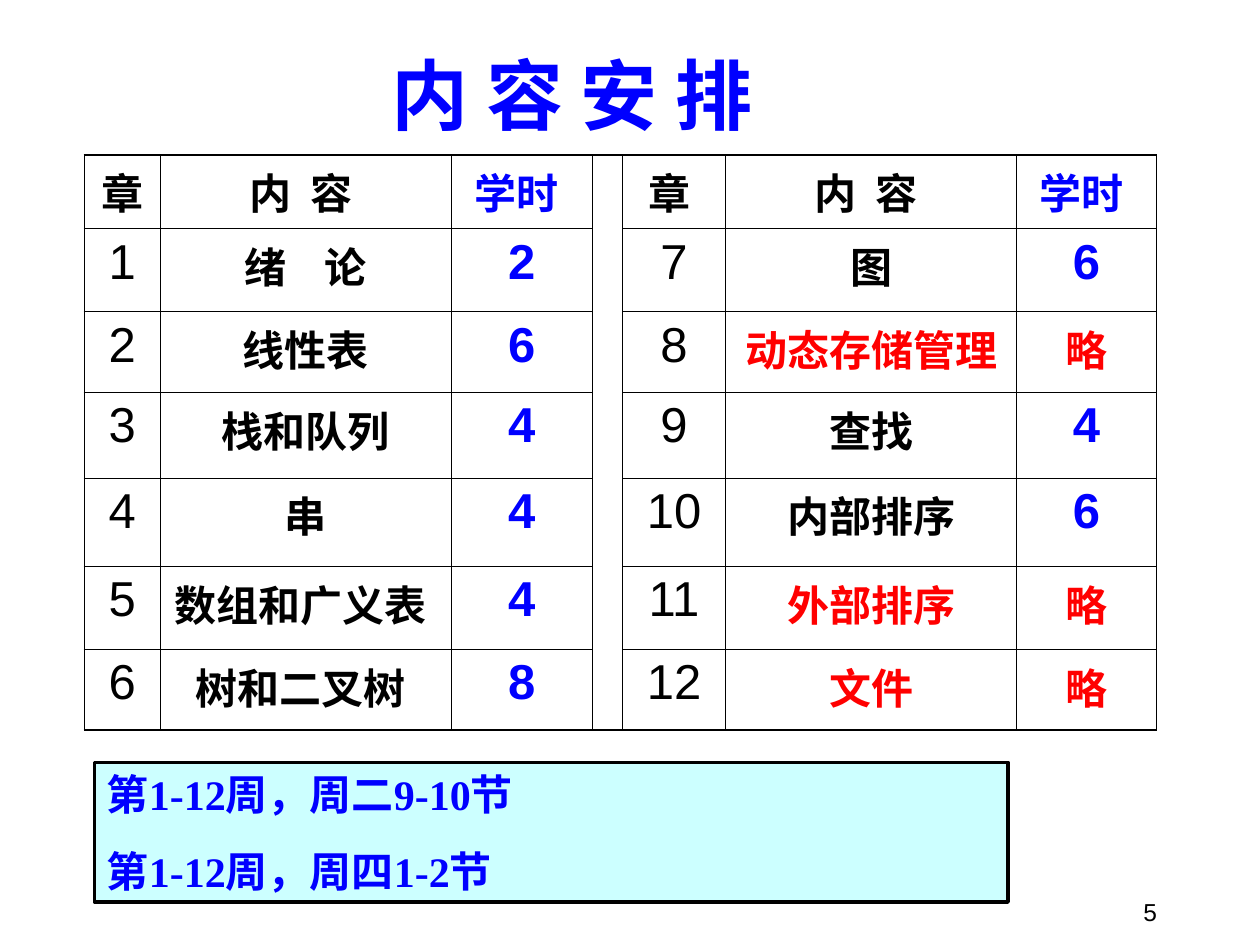
from lxml.etree import SubElement
from pptx import Presentation
from pptx.dml.color import RGBColor
from pptx.enum.shapes import MSO_SHAPE
from pptx.enum.text import MSO_ANCHOR, MSO_AUTO_SIZE, PP_ALIGN
from pptx.oxml.ns import qn
from pptx.util import Inches, Pt

BLACK = RGBColor(0, 0, 0)
BLUE = RGBColor(0, 0, 255)
RED = RGBColor(255, 0, 0)
CYAN = RGBColor(204, 255, 255)


def write(para, text, size, color, bold=True, font="Arial", align=PP_ALIGN.CENTER):
    para.alignment = align
    run = para.add_run()
    run.text = text
    run.font.size = Pt(size)
    run.font.name = font
    run.font.bold = bold
    run.font.color.rgb = color


def border(cell, side, width):
    line = SubElement(cell._tc.get_or_add_tcPr(), qn("a:ln" + side), w=str(Pt(width)))
    fill = SubElement(line, qn("a:solidFill"))
    SubElement(fill, qn("a:srgbClr"), val=str(BLACK))


deck = Presentation()
deck.slide_width, deck.slide_height = Inches(10), Inches(7.5)
slide = deck.slides.add_slide(deck.slide_layouts[5])

# Title
title = slide.shapes.title
title.left, title.top = Inches(2.58), Inches(0.33)
title.width, title.height = Inches(3.92), Inches(0.83)
frame = title.text_frame
frame.auto_size = MSO_AUTO_SIZE.NONE
frame.vertical_anchor = MSO_ANCHOR.MIDDLE
write(frame.paragraphs[0], "内 容 安 排", 44, BLUE, font="Montserrat")

# Chapter plan: two halves beside a merged gap column
HEAD = ["章", "内  容 ", "学时 ", "", "章 ", "内  容 ", "学时 "]
ROWS = [
    ["1", "绪    论", "2", "", "7", "图", "6"],
    ["2", "线性表", "6", "", "8", "动态存储管理", "略"],
    ["3", "栈和队列", "4", "", "9", "查找", "4"],
    ["4", "串", "4", "", "10", "内部排序", "6"],
    ["5", "数组和广义表 ", "4", "", "11", "外部排序", "略"],
    ["6", "树和二叉树 ", "8", "", "12", "文件", "略"],
]
WIDTHS = [0.6, 2.31, 1.12, 0.24, 0.82, 2.31, 1.11]
HEIGHTS = [0.5, 0.66, 0.64, 0.68, 0.7, 0.66, 0.64]
GAP = 3
THICK, THIN = 1.08, 0.45
last = len(ROWS)

table = slide.shapes.add_table(
    len(HEIGHTS), len(WIDTHS), Inches(0.67), Inches(1.23), Inches(8.5), Inches(4.46)
).table
table.first_row = table.horz_banding = False
for col, width in zip(table.columns, WIDTHS):
    col.width = Inches(width)
for row, height in zip(table.rows, HEIGHTS):
    row.height = Inches(height)
table.cell(0, GAP).merge(table.cell(last, GAP))

for r, texts in enumerate([HEAD] + ROWS):
    for c, text in enumerate(texts):
        cell = table.cell(r, c)
        if cell.is_spanned:
            continue
        edges = {"L": c == 0, "R": c == 6, "T": r == 0, "B": r == last or c == GAP}
        for side, outer in edges.items():
            border(cell, side, THICK if outer else THIN)
        cell.fill.background()
        if not text:
            continue
        place = c % 4  # chapter, topic, hours
        color = BLUE if place == 2 else BLACK
        if place and texts[c - place + 2] == "略":
            color = RED
        digit = text.isdigit()
        bold = place > 0 or not digit
        write(cell.text_frame.paragraphs[0], text, 28 if digit else 24, color, bold)

# Class times
box = slide.shapes.add_shape(
    MSO_SHAPE.RECTANGLE, Inches(0.75), Inches(6.05), Inches(7.25), Inches(1.11)
)
box.shadow.inherit = False
box.fill.solid()
box.fill.fore_color.rgb = CYAN
box.line.color.rgb = BLACK
box.line.width = Pt(2)
frame = box.text_frame
frame.word_wrap = True
frame.vertical_anchor = MSO_ANCHOR.TOP
for i, text in enumerate(["第1-12周，周二9-10节", "第1-12周，周四1-2节"]):
    para = frame.add_paragraph() if i else frame.paragraphs[0]
    if i:
        para.space_before = Pt(15)
    write(para, text, 24, BLUE, font="Times New Roman", align=PP_ALIGN.LEFT)

# Page number
page = slide.shapes.add_textbox(Inches(7.2), Inches(6.9), Inches(2.08), Inches(0.5))
frame = page.text_frame
frame.word_wrap = True
frame.vertical_anchor = MSO_ANCHOR.BOTTOM
write(frame.paragraphs[0], "5", 14, BLACK, bold=False, align=PP_ALIGN.RIGHT)

deck.save("out.pptx")
